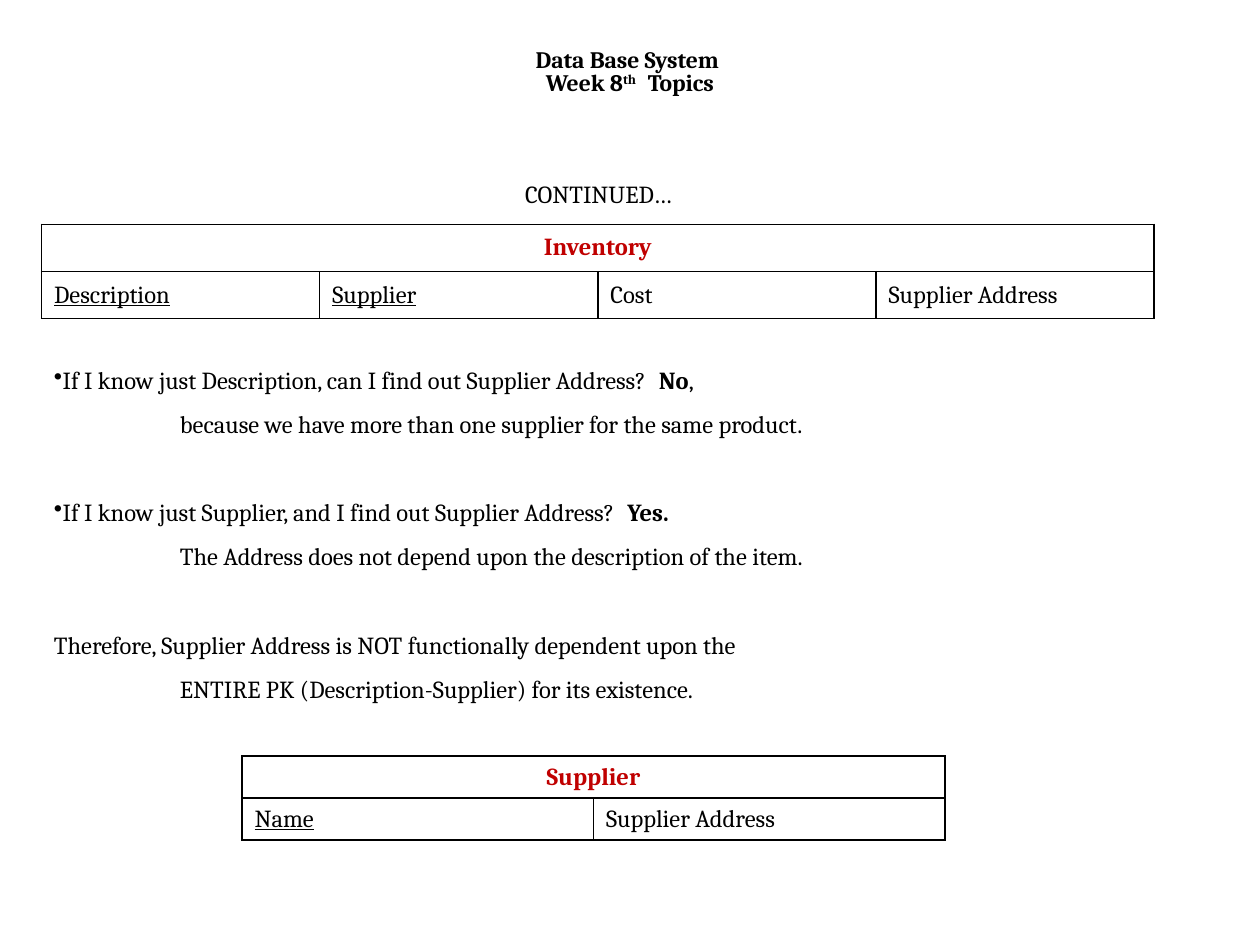
from lxml import etree
from pptx import Presentation
from pptx.dml.color import RGBColor
from pptx.enum import text
from pptx.oxml import ns
from pptx.util import Inches, Pt

BLACK = RGBColor(0x00, 0x00, 0x00)
RED = RGBColor(0xC0, 0x00, 0x00)
FONT = "Cambria"
EN_SPACE = "\u2002"

deck = Presentation()
deck.slide_width, deck.slide_height = Inches(10), Inches(7.5)
slide = deck.slides.add_slide(deck.slide_layouts[6])


def add_frame(left, top, width, height, anchor=text.MSO_ANCHOR.MIDDLE):
    frame = slide.shapes.add_textbox(
        Inches(left), Inches(top), Inches(width), Inches(height)).text_frame
    frame.word_wrap = True
    frame.vertical_anchor = anchor
    return frame


def style(run, size=14, bold=False, color=BLACK, underline=False):
    run.font.name = FONT
    run.font.size = Pt(size)
    run.font.bold = bold
    run.font.color.rgb = color
    run.font.underline = underline


# Slide heading
heading = add_frame(0.75, 0.33, 8.5, 0.5).paragraphs[0]
heading.alignment = text.PP_ALIGN.CENTER
heading.line_spacing = 0.8
heading.text = "Data Base System \vWeek 8"
for part in ("th", EN_SPACE + "Topics"):
    heading.add_run().text = part
for run in heading.runs:
    style(run, 13.5, bold=True)
ordinal = heading.runs[-2]
ordinal.font._element.set("baseline", "30000")

# Continuation line
continued = add_frame(0.25, 1.32, 9, 0.43)
continued.text = "CONTINUED…"
continued.paragraphs[0].alignment = text.PP_ALIGN.CENTER
style(continued.paragraphs[0].runs[0])

# Questions and conclusion: opening line, bold answer, text after it, indented line
points = [
    ("If I know just Description, can I find out Supplier Address?" + EN_SPACE, "No", ", ",
     "because we have more than one supplier for the same product."),
    ("If I know just Supplier, and I find out Supplier Address?" + EN_SPACE, "Yes.", "",
     "The Address does not depend upon the description of the item."),
    ("Therefore, Supplier Address is NOT functionally dependent upon the", "", "",
     "ENTIRE PK (Description-Supplier) for its existence."),
]
reasoning = add_frame(0.33, 2.73, 9.25, 3.26, text.MSO_ANCHOR.TOP)
for number, (opening, answer, tail, detail) in enumerate(points):
    question = reasoning.add_paragraph() if number else reasoning.paragraphs[0]
    question.space_before = Pt(25.3 if number else 0)
    for part in filter(None, (opening, answer, tail)):
        run = question.add_run()
        run.text = part
        style(run, bold=part == answer)
    if answer:
        bullet = etree.SubElement(question._p.get_or_add_pPr(), ns.qn("a:buChar"))
        bullet.set("char", "•")

    explanation = reasoning.add_paragraph()
    explanation.text = detail
    explanation._p.get_or_add_pPr().set("marL", str(Inches(1)))
    style(explanation.runs[0])
for paragraph in reasoning.paragraphs:
    paragraph.line_spacing = 1.5

# Relations: name, left, top, width, row height, fields, number of key fields
relations = [
    ("Inventory", 0.33, 1.78, 8.83, 0.375,
     ["Description", "Supplier", "Cost", "Supplier Address"], 2),
    ("Supplier", 1.92, 6, 5.58, 0.333, ["Name", "Supplier Address"], 1),
]
for name, left, top, width, row_height, fields, key_count in relations:
    relation = slide.shapes.add_table(
        2, len(fields), Inches(left), Inches(top),
        Inches(width), Inches(2 * row_height)).table
    relation.first_row = relation.horz_banding = False
    relation.cell(0, 0).merge(relation.cell(0, len(fields) - 1))
    relation.cell(0, 0).text = name
    for column, field in enumerate(fields):
        relation.cell(1, column).text = field
        style(relation.cell(1, column).text_frame.paragraphs[0].runs[0],
              underline=column < key_count)
    title = relation.cell(0, 0).text_frame.paragraphs[0]
    title.alignment = text.PP_ALIGN.CENTER
    style(title.runs[0], bold=True, color=RED)

    # Borders go before the fill in the cell properties
    for cell in relation.iter_cells():
        cell.vertical_anchor = text.MSO_ANCHOR.MIDDLE
        properties = cell._tc.get_or_add_tcPr()
        for side in ("lnL", "lnR", "lnT", "lnB"):
            border = etree.SubElement(properties, ns.qn("a:" + side), w=str(Pt(1)))
            paint = etree.SubElement(border, ns.qn("a:solidFill"))
            etree.SubElement(paint, ns.qn("a:srgbClr"), val=str(BLACK))
        cell.fill.background()

deck.save("out.pptx")
